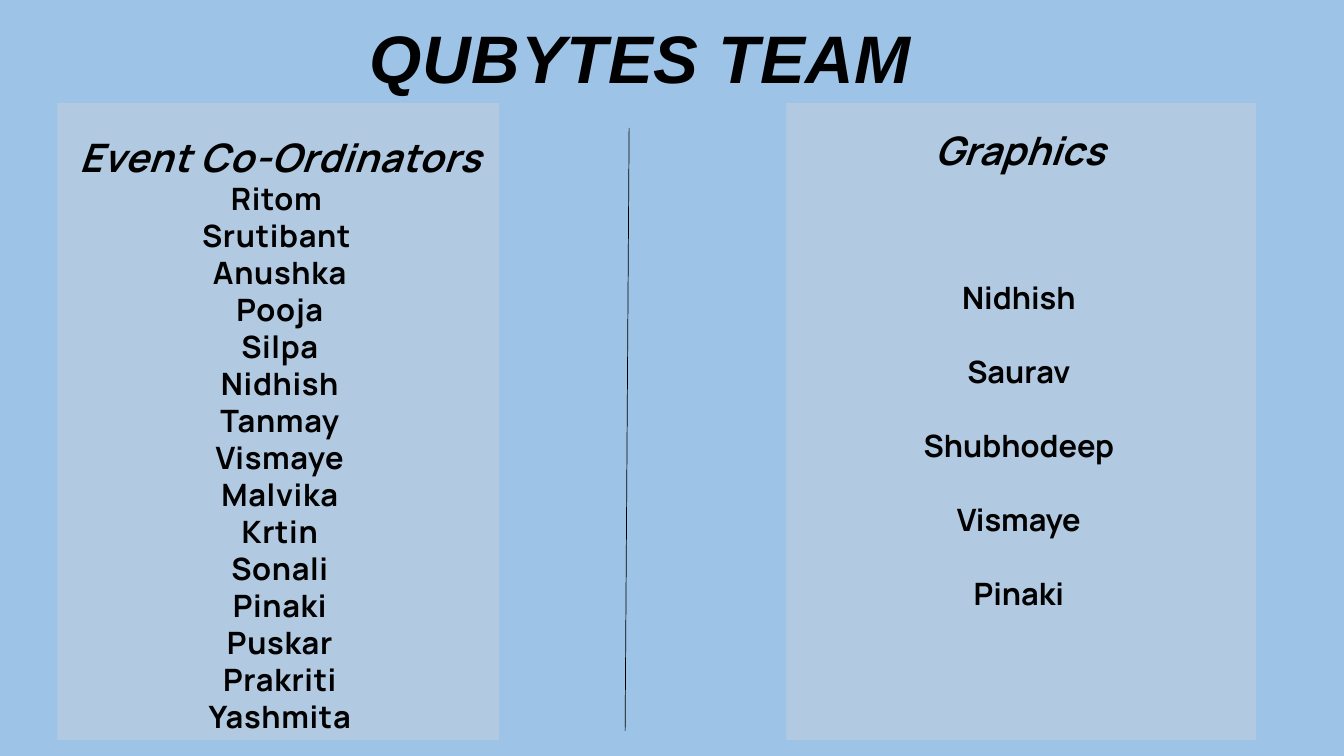
import pptx
import pptx.dml.color
import pptx.enum.shapes
import pptx.enum.text
import pptx.oxml.ns
import pptx.oxml.xmlchemy
import pptx.util
from pptx.util import Inches

COLORS = {"background": "9DC3E6", "panel": "D9D9D9", "ink": "000000"}

COORDINATORS = [
    "Ritom ", "Srutibant ", " Anushka ", "Pooja", "Silpa", "Nidhish", "Tanmay", "Vismaye",
    "Malvika", "Krtin", "Sonali", "Pinaki", "Puskar", "Prakriti", "Yashmita",
]
DESIGNERS = ["Nidhish", "Saurav", "Shubhodeep", "Vismaye", "Pinaki"]


def color(name):
    return pptx.dml.color.RGBColor.from_string(COLORS[name])


def write_paragraph(paragraph, text, size, font="Manrope", italic=False, tracking=0, line_spacing=None):
    paragraph.alignment = pptx.enum.text.PP_ALIGN.CENTER
    if line_spacing:
        paragraph.line_spacing = line_spacing
    run = paragraph.add_run()
    run.text = text
    run.font.name = font
    run.font.size = pptx.util.Pt(size)
    run.font.bold = True
    run.font.italic = italic
    run.font.color.rgb = color("ink")
    if tracking:
        run._r.get_or_add_rPr().set("spc", str(int(tracking * 100)))


class TeamSlide:
    def __init__(self, presentation):
        self.slide = presentation.slides.add_slide(presentation.slide_layouts[6])
        self.slide.background.fill.solid()
        self.slide.background.fill.fore_color.rgb = color("background")

    def panel(self, left, top, width, height, opacity=34):
        shape = self.slide.shapes.add_shape(
            pptx.enum.shapes.MSO_SHAPE.RECTANGLE,
            Inches(left), Inches(top), Inches(width), Inches(height))
        shape.shadow.inherit = False
        shape.line.fill.background()
        shape.fill.solid()
        shape.fill.fore_color.rgb = color("panel")
        fill_color = shape._element.spPr.find(".//" + pptx.oxml.ns.qn("a:srgbClr"))
        alpha = pptx.oxml.xmlchemy.OxmlElement("a:alpha")
        alpha.set("val", str(opacity * 1000))
        fill_color.append(alpha)

    def divider(self, start_x, start_y, end_x, end_y):
        connector = self.slide.shapes.add_connector(
            pptx.enum.shapes.MSO_CONNECTOR.STRAIGHT,
            Inches(start_x), Inches(start_y), Inches(end_x), Inches(end_y))
        connector.line.color.rgb = color("ink")
        connector.line.width = pptx.util.Pt(0.5)
        connector._element.spPr.append(pptx.oxml.xmlchemy.OxmlElement("a:effectLst"))

    def text(self, left, top, width, height, lines):
        box = self.slide.shapes.add_textbox(Inches(left), Inches(top), Inches(width), Inches(height))
        frame = box.text_frame
        frame.word_wrap = True
        frame.auto_size = pptx.enum.text.MSO_AUTO_SIZE.SHAPE_TO_FIT_TEXT
        for index, (content, style) in enumerate(lines):
            paragraph = frame.add_paragraph() if index else frame.paragraphs[0]
            write_paragraph(paragraph, content, **style)


def main():
    presentation = pptx.Presentation()
    presentation.slide_width = Inches(13.33)
    presentation.slide_height = Inches(7.5)
    team = TeamSlide(presentation)

    title = dict(size=48, font="Arial", italic=True, tracking=0.5)
    heading = dict(size=28, italic=True)
    spaced_heading = dict(heading, tracking=0.5)
    coordinator = dict(size=22, tracking=0.5)
    designer = dict(size=22, line_spacing=2.0)

    team.text(2.77, 0.11, 7.17, 0.91, [("QUBYTES TEAM", title)])
    team.divider(6.24, 1.27, 6.2, 7.25)

    team.panel(0.57, 1.02, 4.38, 6.32)
    team.text(0.3, 1.27, 4.95, 6.73,
              [("Event Co-Ordinators", spaced_heading)] + [(name, coordinator) for name in COORDINATORS])

    team.panel(7.8, 1.02, 4.66, 6.32)
    team.text(8.02, 1.2, 4.18, 0.57, [("Graphics", heading)])
    team.text(8.13, 2.35, 3.95, 3.8, [(name, designer) for name in DESIGNERS])

    presentation.save("out.pptx")


if __name__ == "__main__":
    main()
